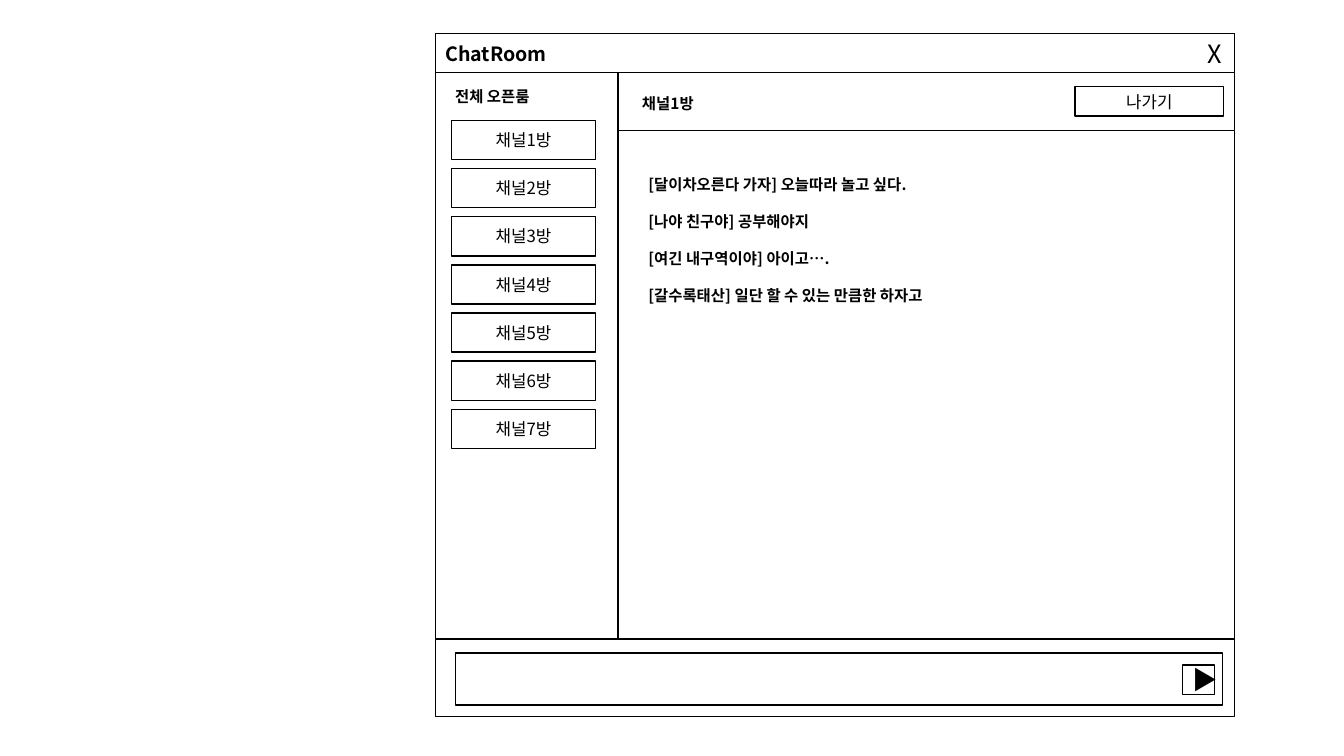
import dataclasses
import pptx
import pptx.dml.color
import pptx.enum.shapes
import pptx.enum.text
import pptx.util

Pt = pptx.util.Pt
Align = pptx.enum.text.PP_ALIGN
Anchor = pptx.enum.text.MSO_ANCHOR


@dataclasses.dataclass(frozen=True)
class Theme:
    ink: str = "000000"
    paper: str = "FFFFFF"
    font: str = "Noto Sans CJK KR"
    head: float = 14
    icon: float = 18
    button: float = 12
    label: float = 11
    line: float = 1
    lead: float = 1.2


@dataclasses.dataclass(frozen=True)
class Area:
    left: float
    top: float
    width: float
    height: float


@dataclasses.dataclass(frozen=True)
class Panel:
    area: Area
    text: str = ""
    size: float = 12
    bold: bool = False
    align: Align = Align.CENTER


@dataclasses.dataclass(frozen=True)
class Label:
    area: Area
    lines: tuple[str, ...]
    size: float = 11
    bold: bool = True
    wrap: bool = True


theme = Theme()


def color(code: str) -> pptx.dml.color.RGBColor:
    return pptx.dml.color.RGBColor.from_string(code)


def apply(target: object, values: dict[str, object]) -> None:
    for name, value in values.items():
        setattr(target, name, value)


def place(area: Area) -> list[pptx.util.Length]:
    return [Pt(side) for side in dataclasses.astuple(area)]


def write(frame: object, lines: tuple[str, ...], size: float, bold: bool,
          align: Align) -> None:
    lead = Pt(size * theme.lead)
    for index, line in enumerate(lines):
        para = frame.add_paragraph() if index else frame.paragraphs[0]
        apply(para, {"alignment": align, "line_spacing": lead,
                     "space_before": lead if index else Pt(0)})
        run = para.add_run()
        run.text = line
        apply(run.font, {"name": theme.font, "size": Pt(size), "bold": bold})
        run.font.color.rgb = color(theme.ink)


def draw_panel(slide: object, panel: Panel) -> None:
    shape = slide.shapes.add_shape(
        pptx.enum.shapes.MSO_SHAPE.RECTANGLE, *place(panel.area))
    shape.shadow.inherit = False
    shape.fill.solid()
    shape.fill.fore_color.rgb = color(theme.paper)
    shape.line.color.rgb = color(theme.ink)
    shape.line.width = Pt(theme.line)
    if panel.text:
        apply(shape.text_frame, {"word_wrap": True,
                                 "vertical_anchor": Anchor.MIDDLE})
        write(shape.text_frame, (panel.text,), panel.size, panel.bold,
              panel.align)


def draw_label(slide: object, label: Label) -> None:
    box = slide.shapes.add_textbox(*place(label.area))
    apply(box.text_frame, {"word_wrap": label.wrap,
                           "vertical_anchor": Anchor.TOP})
    write(box.text_frame, label.lines, label.size, label.bold, Align.LEFT)


deck = pptx.Presentation()
apply(deck, {"slide_width": Pt(960), "slide_height": Pt(540)})
slide = deck.slides.add_slide(deck.slide_layouts[6])

# Window frame, title bar, chat area, side bar, message input
panels = [
    Panel(Area(311, 24, 571, 488)),
    Panel(Area(311, 24, 571, 28), "ChatRoom", theme.head, True, Align.LEFT),
    Panel(Area(441.5, 93, 440.5, 363.5)),
    Panel(Area(311, 52, 130.5, 404.5)),
    Panel(Area(325.5, 466.5, 548, 37)),
]

# Send and leave buttons
panels += [
    Panel(Area(844.5, 475, 23, 21), "▶", theme.icon),
    Panel(Area(768, 62, 106, 21), "나가기", theme.button),
]

# Room list
top, step = 86, 34.4
panels += [
    Panel(Area(322.5, top + step * index, 103, 28), f"채널{index + 1}방",
          theme.button)
    for index in range(7)
]

# Titles, close mark and messages
labels = [
    Label(Area(855.5, 24, 25, 29), ("X",), theme.icon, False, False),
    Label(Area(318, 58.5, 100, 21), ("전체 오픈룸",), theme.label),
    Label(Area(451.5, 64, 100, 21), ("채널1방",), theme.label),
    Label(Area(456, 121.5, 243.5, 101), (
        "[달이차오른다 가자] 오늘따라 놀고 싶다.",
        "[나야 친구야] 공부해야지",
        "[여긴 내구역이야] 아이고….",
        "[갈수록태산] 일단 할 수 있는 만큼한 하자고",
    ), theme.label),
]

for panel in panels:
    draw_panel(slide, panel)
for label in labels:
    draw_label(slide, label)

deck.save("out.pptx")
